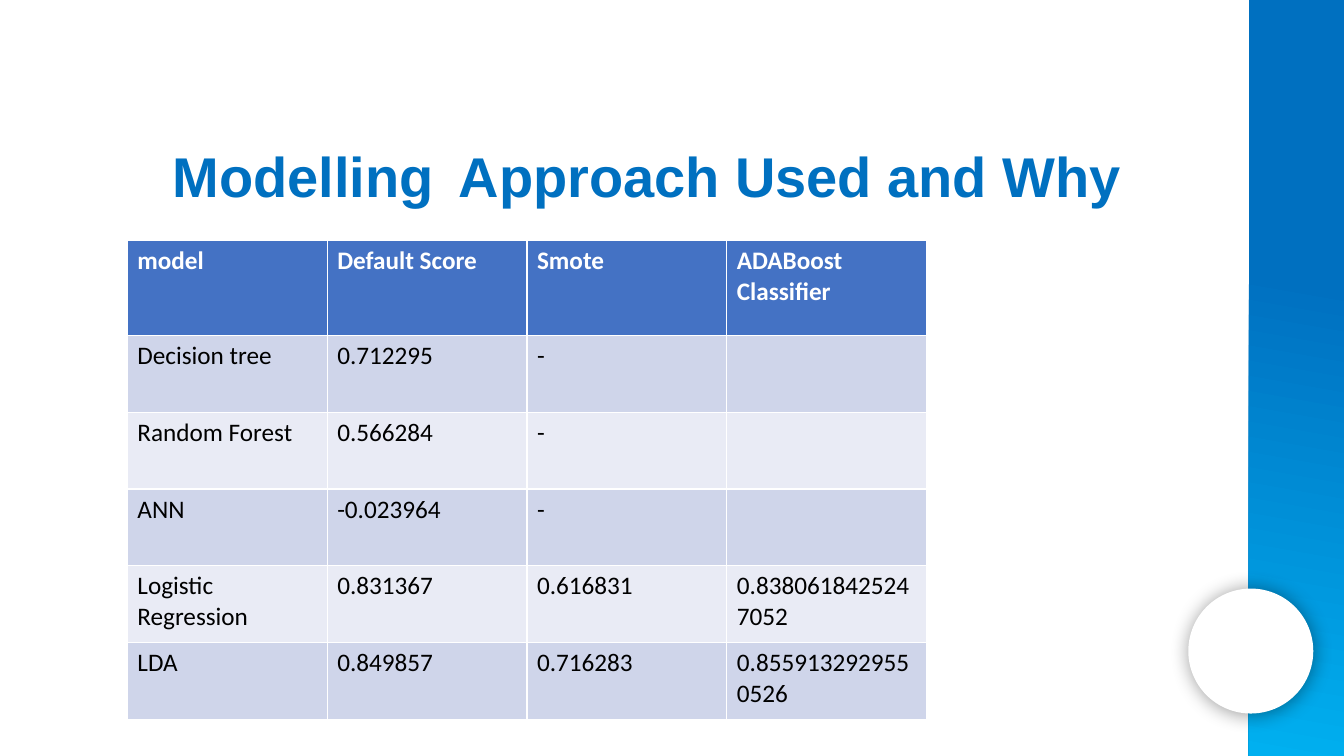
import pptx
import pptx.dml.color
import pptx.enum.shapes
import pptx.enum.text
import pptx.oxml
import pptx.util

Pt = pptx.util.Pt
SHAPES = pptx.enum.shapes.MSO_SHAPE

TITLE_RUNS = [
    ("Modelling", 40, "Arial", "0070C0", True),
    (" ", 80, "Calibri", "000000", False),
    ("Approach Used and Why", 40, "Arial", "0070C0", True),
]
SCORES = [
    ("model", "Default Score", "Smote", "ADABoost Classifier"),
    ("Decision tree", "0.712295", "-", ""),
    ("Random Forest", "0.566284", "-", ""),
    ("ANN", "-0.023964", "-", ""),
    ("Logistic Regression", "0.831367", "0.616831", "0.8380618425247052"),
    ("LDA", "0.849857", "0.716283", "0.8559132929550526"),
]
HEADER_FILL = "4472C4"
BAND_FILLS = ("E9EBF5", "CFD5EA")
BAR_STOPS = [(0.37, "0070C0"), (1, "00B0F0")]

SLIDE_WIDTH, SLIDE_HEIGHT = 960, 540
BAR_LEFT = 892
CIRCLE_LEFT, CIRCLE_TOP, CIRCLE_SIZE = 848.8, 420.4, 89.3
TABLE_LEFT, TABLE_TOP = 91, 172
COLUMN_WIDTH, HEADER_HEIGHT, ROW_HEIGHT = 142.75, 67.5, 54.9

CIRCLE_SHADOW = (
    '<a:effectLst xmlns:a="http://schemas.openxmlformats.org/drawingml/2006/main">'
    f'<a:outerShdw blurRad="{Pt(14)}" dist="{Pt(1)}" dir="{43 * 60000}" rotWithShape="0">'
    '<a:srgbClr val="000000"><a:alpha val="40000"/></a:srgbClr>'
    '</a:outerShdw></a:effectLst>'
)


def color(value):
    return pptx.dml.color.RGBColor.from_string(value)


def style_font(font, size, name, value, bold):
    font.size, font.name, font.bold = Pt(size), name, bold
    font.color.rgb = color(value)


def add_plain_shape(slide, kind, left, top, width, height):
    """Add a preset shape without line or shadow."""
    shape = slide.shapes.add_shape(kind, Pt(left), Pt(top), Pt(width), Pt(height))
    shape.shadow.inherit = False
    shape.line.fill.background()
    return shape


def add_decoration(slide):
    bar = add_plain_shape(slide, SHAPES.RECTANGLE, BAR_LEFT, 0,
                          SLIDE_WIDTH - BAR_LEFT, SLIDE_HEIGHT)
    bar.fill.gradient()
    bar.fill.gradient_angle = 260
    for stop, (position, value) in zip(bar.fill.gradient_stops, BAR_STOPS):
        stop.position = position
        stop.color.rgb = color(value)

    circle = add_plain_shape(slide, SHAPES.OVAL, CIRCLE_LEFT, CIRCLE_TOP,
                             CIRCLE_SIZE, CIRCLE_SIZE)
    circle.fill.solid()
    circle.fill.fore_color.rgb = color("FFFFFF")
    properties = circle.element.spPr
    properties.replace(properties[-1], pptx.oxml.parse_xml(CIRCLE_SHADOW))


def fill_title(title):
    title.left, title.top, title.width, title.height = Pt(116), Pt(57.6), Pt(728), Pt(104.4)
    frame = title.text_frame
    frame.word_wrap = True
    frame.auto_size = pptx.enum.text.MSO_AUTO_SIZE.SHAPE_TO_FIT_TEXT
    frame.vertical_anchor = pptx.enum.text.MSO_ANCHOR.TOP
    paragraph = frame.paragraphs[0]
    paragraph.alignment = pptx.enum.text.PP_ALIGN.LEFT
    for text, *style in TITLE_RUNS:
        run = paragraph.add_run()
        run.text = text
        style_font(run.font, *style)


def add_score_table(slide):
    rows, columns = len(SCORES), len(SCORES[0])
    table = slide.shapes.add_table(
        rows, columns, Pt(TABLE_LEFT), Pt(TABLE_TOP), Pt(columns * COLUMN_WIDTH),
        Pt(HEADER_HEIGHT + (rows - 1) * ROW_HEIGHT)).table
    for column in table.columns:
        column.width = Pt(COLUMN_WIDTH)
    for index, values in enumerate(SCORES):
        is_header = index == 0
        table.rows[index].height = Pt(HEADER_HEIGHT if is_header else ROW_HEIGHT)
        for cell, text in zip(table.rows[index].cells, values):
            cell.text = text
            style_font(cell.text_frame.paragraphs[0].font, 18, "Calibri",
                       "FFFFFF" if is_header else "000000", is_header)
            cell.fill.solid()
            cell.fill.fore_color.rgb = color(HEADER_FILL if is_header else BAND_FILLS[index % 2])


def main():
    presentation = pptx.Presentation()
    presentation.slide_width, presentation.slide_height = Pt(SLIDE_WIDTH), Pt(SLIDE_HEIGHT)
    slide = presentation.slides.add_slide(presentation.slide_layouts.get_by_name("Title Only"))
    add_decoration(slide)
    fill_title(slide.shapes.title)
    add_score_table(slide)
    presentation.save("out.pptx")


if __name__ == "__main__":
    main()
